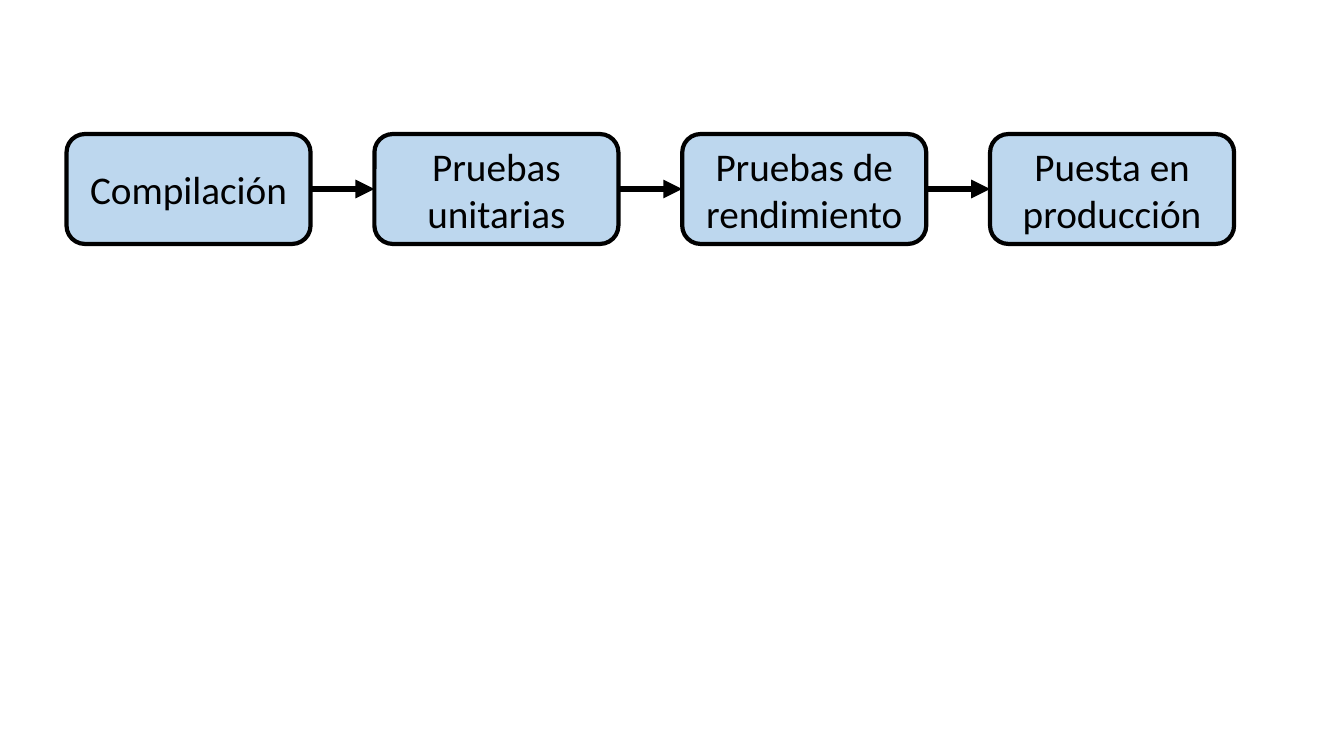
from pptx import Presentation
from pptx.dml.color import RGBColor
from pptx.enum.shapes import MSO_CONNECTOR, MSO_SHAPE
from pptx.enum.text import MSO_ANCHOR, PP_ALIGN
from pptx.util import Inches, Pt
from lxml.etree import SubElement
from pptx.oxml.ns import qn

STEPS = ["Compilación", "Pruebas unitarias", "Pruebas de rendimiento", "Puesta en producción"]
BLACK = "000000"


def paint(target, color):
    """Give a fill or font colour a solid hex value."""
    target.rgb = RGBColor.from_string(color)


def draw_step(slide, label, left, top, width, height):
    """Draw one rounded stage with its centred label."""
    step = slide.shapes.add_shape(MSO_SHAPE.ROUNDED_RECTANGLE, left, top, width, height)
    step.shadow.inherit = False
    step.fill.solid()
    paint(step.fill.fore_color, "BDD7EE")
    paint(step.line.color, BLACK)
    step.line.width = Pt(3)
    frame = step.text_frame
    frame.word_wrap = True
    frame.vertical_anchor = MSO_ANCHOR.MIDDLE
    line = frame.paragraphs[0]
    line.alignment = PP_ALIGN.CENTER
    run = line.add_run()
    run.text = label
    run.font.name = "Calibri"
    run.font.size = Pt(28)
    paint(run.font.color, BLACK)
    return step


def draw_arrow(slide, start, end):
    """Link the right side of one stage to the left side of the next."""
    arrow = slide.shapes.add_connector(MSO_CONNECTOR.STRAIGHT, 0, 0, 0, 0)
    arrow.begin_connect(start, 3)
    arrow.end_connect(end, 1)
    paint(arrow.line.color, BLACK)
    arrow.line.width = Pt(4.5)
    SubElement(arrow.line._get_or_add_ln(), qn("a:tailEnd"), type="triangle")
    SubElement(arrow._element.spPr, qn("a:effectLst"))


def draw_flow(slide, left, top, width, height):
    """Spread the stages evenly over the box and join them with arrows."""
    wide = int(width * 0.209)
    pitch = (width - wide) // (len(STEPS) - 1)
    steps = [draw_step(slide, label, left + i * pitch, top, wide, height)
             for i, label in enumerate(STEPS)]
    for start, end in zip(steps, steps[1:]):
        draw_arrow(slide, start, end)


deck = Presentation()
deck.slide_width, deck.slide_height = Inches(13.33), Inches(7.5)
page = deck.slides.add_slide(deck.slide_layouts[6])
draw_flow(page, Inches(0.66), Inches(1.33), Inches(11.58), Inches(1.09))
deck.save("out.pptx")
